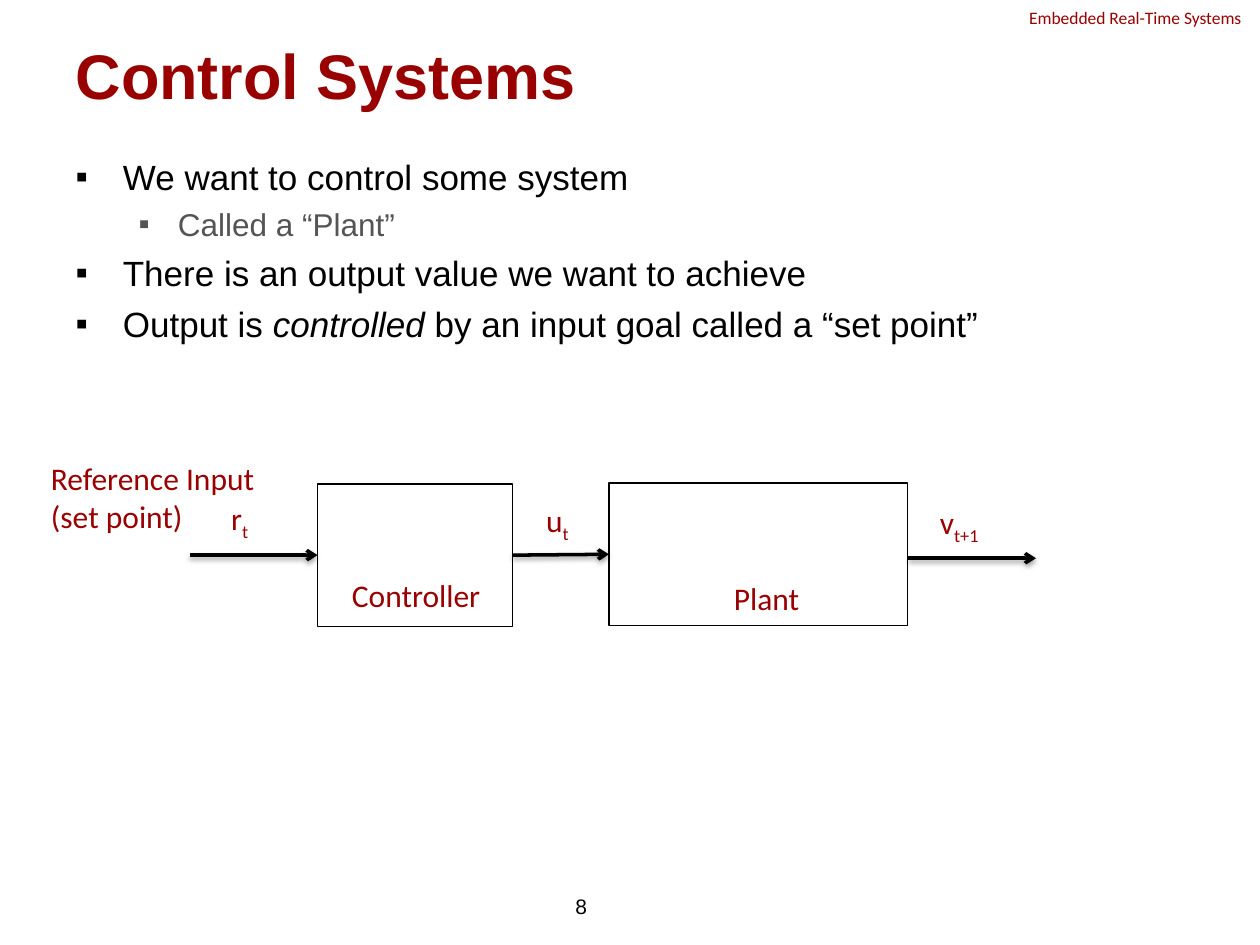
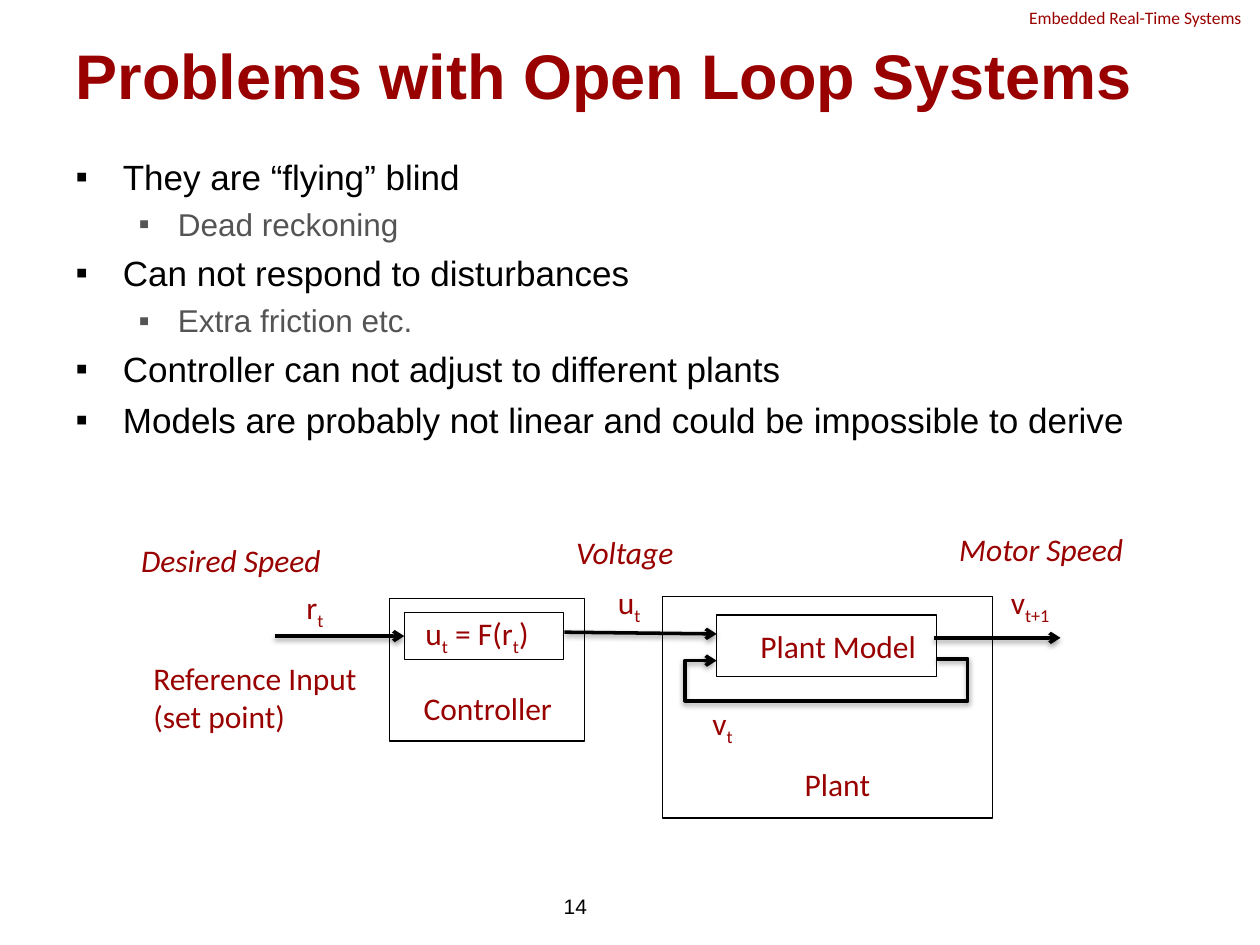
"""Build two slides on open loop control systems."""
from dataclasses import dataclass

import pptx
import pptx.dml.color
import pptx.enum.shapes
import pptx.enum.text
import pptx.oxml
import pptx.oxml.ns
import pptx.util

Pt = pptx.util.Pt
Align = pptx.enum.text.PP_ALIGN
Anchor = pptx.enum.text.MSO_ANCHOR
Kind = pptx.enum.shapes.MSO_SHAPE
Line = pptx.enum.shapes.MSO_CONNECTOR
qn = pptx.oxml.ns.qn
NS = pptx.oxml.ns.nsdecls("a")
LEFT, RIGHT = 1, 3


@dataclass(frozen=True)
class Theme:
    red: str = "990000"
    black: str = "000000"
    grey: str = "545454"
    head: str = "Arial"
    text: str = "Calibri"
    title: int = 36
    item: int = 20
    sub: int = 18
    label: int = 18
    page: int = 12
    course: int = 10
    thin: float = 0.75
    thick: float = 2


class Deck:
    def __init__(self, theme):
        self.theme = theme
        self.show = pptx.Presentation()
        self.show.slide_width, self.show.slide_height = Pt(720), Pt(540)
        self.slide = None

    def style(self, par, size, color, face, bold=None, italic=None):
        font = par.font
        font.size, font.name = Pt(size), face
        font.bold, font.italic = bold, italic
        font.color.rgb = pptx.dml.color.RGBColor.from_string(color)

    def place(self, shape, box):
        shape.left, shape.top, shape.width, shape.height = map(Pt, box)

    def runs(self, par, text, mark):
        for pos, part in enumerate(text.split("|")):
            if part:
                run = par.add_run()
                run.text = part
                if pos % 2:
                    mark(run)

    def sink(self, run):
        run.font._element.set("baseline", "-25000")

    def slant(self, run):
        run.font.italic = True

    def start(self, title, page, items):
        look = self.theme
        self.slide = self.show.slides.add_slide(self.show.slide_layouts[1])
        self.note("Embedded Real-Time Systems", (581, 0.7, 139, 19.5),
                  size=look.course)
        self.head(title)
        self.points(items)
        self.note(str(page), (175, 503.5, 167.5, 28.5), Align.RIGHT,
                  size=look.page, color=look.black, face=look.head,
                  anchor=Anchor.MIDDLE)

    def head(self, text):
        look, shape = self.theme, self.slide.shapes.title
        self.place(shape, (36, 21.5, 648, 42))
        frame = shape.text_frame
        frame.text = text
        frame.auto_size = pptx.enum.text.MSO_AUTO_SIZE.NONE
        frame.vertical_anchor = Anchor.MIDDLE
        par = frame.paragraphs[0]
        par.alignment = Align.LEFT
        self.style(par, look.title, look.red, look.head, bold=True)

    def points(self, items):
        look, shape = self.theme, self.slide.placeholders[1]
        self.place(shape, (36, 85, 648, 397.5))
        frame = shape.text_frame
        frame.auto_size = pptx.enum.text.MSO_AUTO_SIZE.NONE
        kinds = ((27, 27, 5, look.item, look.black),
                 (58.5, 22.5, 4.5, look.sub, look.grey))
        for pos, (level, text) in enumerate(items):
            par = frame.add_paragraph() if pos else frame.paragraphs[0]
            edge, hang, gap, size, color = kinds[level]
            par.level = level
            props = par._p.get_or_add_pPr()
            props.set("marL", str(Pt(edge)))
            props.set("indent", str(-Pt(hang)))
            props.append(pptx.oxml.parse_xml(f'<a:buChar {NS} char="▪"/>'))
            par.space_before = Pt(gap if pos else 0)
            self.runs(par, text, self.slant)
            self.style(par, size, color, look.head)

    def note(self, text, box, align=Align.LEFT, italic=None, size=None,
             color=None, face=None, anchor=Anchor.TOP):
        look = self.theme
        frame = self.slide.shapes.add_textbox(*map(Pt, box)).text_frame
        frame.word_wrap = True
        frame.vertical_anchor = anchor
        par = frame.paragraphs[0]
        par.alignment = align
        self.runs(par, text, self.sink)
        self.style(par, size or look.label, color or look.red,
                   face or look.text, italic=italic)

    def ink(self, line, width):
        line.width = Pt(width)
        line.color.rgb = pptx.dml.color.RGBColor.from_string(self.theme.black)

    def block(self, box):
        shape = self.slide.shapes.add_shape(Kind.RECTANGLE, *map(Pt, box))
        shape.shadow.inherit = False
        shape.fill.background()
        self.ink(shape.line, self.theme.thin)
        return shape

    def finish(self, shape):
        self.ink(shape.line, self.theme.thick)
        props = shape.element.spPr
        props.find(qn("a:ln")).append(
            pptx.oxml.parse_xml(f'<a:tailEnd {NS} type="arrow"/>'))
        props.append(pptx.oxml.parse_xml(
            f'<a:effectLst {NS}><a:outerShdw blurRad="{Pt(3.1)}" '
            f'dist="{Pt(1.6)}" dir="5400000" rotWithShape="0">'
            f'<a:srgbClr val="{self.theme.black}"><a:alpha val="38000"/>'
            '</a:srgbClr></a:outerShdw></a:effectLst>'))

    def arrow(self, ends, tail=None, tip=None):
        line = self.slide.shapes.add_connector(Line.STRAIGHT, *map(Pt, ends))
        if tail:
            line.begin_connect(tail, RIGHT)
        if tip:
            line.end_connect(tip, LEFT)
        self.finish(line)

    def loop(self, bends):
        spots = [(Pt(x), Pt(y)) for x, y in bends]
        route = self.slide.shapes.build_freeform(*spots[0])
        route.add_line_segments(spots[1:], close=False)
        shape = route.convert_to_shape()
        shape.fill.background()
        self.finish(shape)

    def signals(self, spots):
        signs = ("r|t|", 36), ("u|t|", 36), ("v|t+1|", 57)
        for (sign, width), (x, y) in zip(signs, spots):
            self.note(sign, (x, y, width, 29))

    def labels(self, control, plant, goal):
        self.note("Controller", (*control, 99, 29))
        self.note("Plant", (*plant, 99, 29), Align.CENTER)
        self.note("Reference Input (set point)", (*goal, 132, 51))


def basic(deck):
    deck.start("Control Systems", 8, (
        (0, "We want to control some system"),
        (1, "Called a “Plant”"),
        (0, "There is an output value we want to achieve"),
        (0, "Output is |controlled| by an input goal called a “set point”")))
    control = deck.block((181.5, 276.5, 111.5, 81.5))
    plant = deck.block((348, 276, 170.5, 81.5))
    deck.labels((194, 325.5), (388.5, 327.5), (22, 259))
    deck.arrow((108.5, 317.25, 181.5, 317.25), tip=control)
    deck.arrow((293, 317.25, 348, 316.75), control, plant)
    deck.arrow((519, 319, 592, 319))
    deck.signals(((125, 281.5), (305, 283), (530, 284)))


def limits(deck):
    deck.start("Problems with Open Loop Systems", 14, (
        (0, "They are “flying” blind"),
        (1, "Dead reckoning"),
        (0, "Can not respond to disturbances"),
        (1, "Extra friction etc."),
        (0, "Controller can not adjust to different plants"),
        (0, "Models are probably not linear and could be "
            "impossible to derive")))
    deck.block((222.5, 342, 111.5, 81.5))
    deck.block((378.5, 341, 188.5, 126.5))
    law = deck.block((231, 350, 91, 27))
    deck.block((409.5, 351.5, 125.5, 35))
    deck.labels((235, 390), (429, 433.5), (80.5, 373))
    deck.note("u|t| = F(r|t|)", (236, 347.5, 88.5, 29))
    deck.note("Plant Model", (427.5, 355, 105, 29))
    deck.arrow((157, 363.5, 231, 363.5), tip=law)
    deck.arrow((322.5, 361.25, 409.5, 362.25))
    deck.arrow((533.5, 364.5, 606, 364.5))
    deck.loop(((535, 376.5), (553, 376.5), (553, 400.5),
               (391.5, 400.5), (391.5, 377.5), (409.5, 377.5)))
    deck.signals(((168, 332.5), (346, 329.5), (570.5, 329.5)))
    deck.note("v|t|", (400, 399, 57, 29))
    for text, x, y, align in (("Desired Speed", 73.5, 305.5, Align.LEFT),
                              ("Voltage", 291, 301, Align.CENTER),
                              ("Motor Speed", 529, 299.5, Align.CENTER)):
        deck.note(text, (x, y, 132, 29), align, italic=True)


def main():
    deck = Deck(Theme())
    basic(deck)
    limits(deck)
    deck.show.save("out.pptx")


if __name__ == "__main__":
    main()
